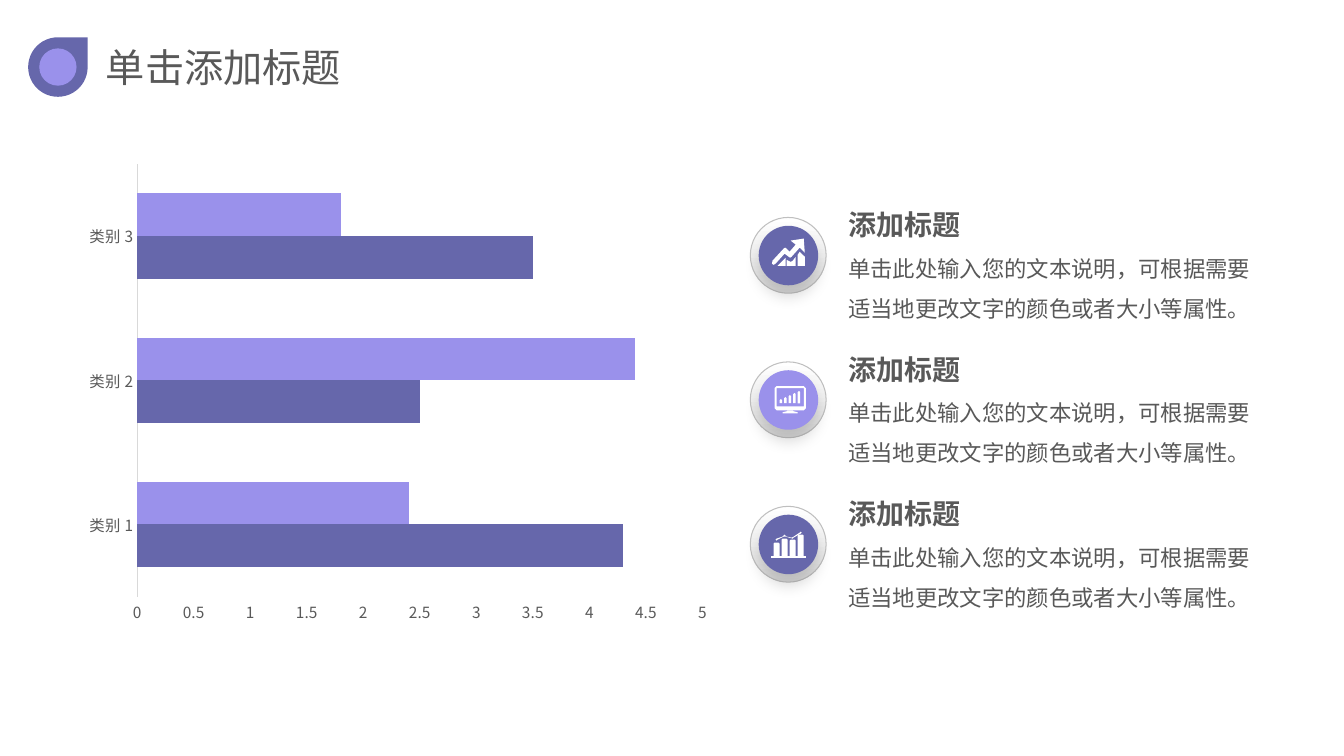
from lxml import etree
from pptx import Presentation
from pptx.chart.data import CategoryChartData
from pptx.dml.color import RGBColor
from pptx.enum import chart as ch, shapes, text
from pptx.oxml import ns
from pptx.util import Cm, Pt

FONT = "Noto Sans CJK SC"
DARK = RGBColor(0x66, 0x67, 0xAB)
LIGHT = RGBColor(0x9A, 0x91, 0xEB)
GREY = RGBColor(0x59, 0x59, 0x59)
RING = RGBColor(0xBF, 0xBF, 0xBF)
AXIS = RGBColor(0xD9, 0xD9, 0xD9)
SHADE = RGBColor(0xDC, 0xDC, 0xDC)
WHITE = RGBColor(0xFF, 0xFF, 0xFF)

# Content
TITLE = "单击添加标题"
CATEGORIES = ["类别 1", "类别 2", "类别 3"]
SERIES = [("Series 1", [4.3, 2.5, 3.5], DARK), ("Series 2", [2.4, 4.4, 1.8], LIGHT)]
HEADING = "添加标题"
BODY = "单击此处输入您的文本说明，可根据需要适当地更改文字的颜色或者大小等属性。"


def bar(x, top, w, bottom):
    """Outline of an icon bar with clipped top corners."""
    return [[(x, bottom), (x, top + 1), (x + 1, top), (x + w - 1, top),
             (x + w, top + 1), (x + w, bottom)]]


# Icons: each shape is a list of outlines, in units from the ring's corner
ICON_UNIT = 0.0254
GROWTH = [
    [[(34, 36), (25, 46), (23, 47), (21.5, 46), (22, 43), (33, 31), (34.5, 30),
      (36, 31), (39, 34), (45, 27), (40, 23), (53, 21), (54, 35), (49, 30),
      (41, 39), (39.5, 40), (38, 39)]],
    [[(49, 34), (47, 37), (47, 48), (54, 48), (54, 39)]],
    [[(42, 43), (40, 44), (36, 42), (36, 48), (45, 48), (45, 39)]],
    [[(27, 48), (35, 48), (35, 40)]],
]
MONITOR = [
    [[(26, 24), (53, 24), (55, 26), (55, 46), (53, 48), (26, 48), (24, 46), (24, 26)],
     [(26, 26), (26, 44), (53, 44), (53, 26)]],
    [[(37, 48), (42, 48), (43, 49), (47, 50), (47, 51), (32, 51), (32, 50), (36, 49)]],
] + [bar(29 + 4.5 * i, 37 - 2 * i, 2.5, 41) for i in range(5)]
COLUMNS = [
    [[(25, 33), (26, 32), (32, 30), (34, 28), (36, 30), (41, 31), (43, 30), (49, 26),
      (50, 25), (51, 26), (50, 27), (43, 31), (42, 32), (35, 30), (33, 30), (27, 33),
      (26, 34)]],
    [[(21, 49), (55, 49), (55, 51), (21, 51)]],
] + [bar(23 + 8 * i, top, 6, 49.5) for i, top in enumerate([36, 32, 33, 28])]
ITEMS = [(DARK, GROWTH), (LIGHT, MONITOR), (DARK, COLUMNS)]


def set_font(font, size, color=GREY, bold=False):
    font.name, font.size, font.bold = FONT, Pt(size), bold
    font.color.rgb = color
    etree.SubElement(font._rPr, ns.qn("a:ea"), typeface=FONT)


def add_solid(kind, left, top, size, color):
    sp = s.shapes.add_shape(kind, Cm(left), Cm(top), Cm(size), Cm(size))
    sp.shadow.inherit = False
    sp.fill.solid()
    sp.fill.fore_color.rgb = color
    sp.line.fill.background()
    return sp


def add_text(left, top, width, height, lines, spacing):
    box = s.shapes.add_textbox(Cm(left), Cm(top), Cm(width), Cm(height))
    tf = box.text_frame
    tf.word_wrap = True
    tf.auto_size = text.MSO_AUTO_SIZE.SHAPE_TO_FIT_TEXT
    tf.text = "\n".join(line for line, _, _ in lines)
    for p, (_, size, bold) in zip(tf.paragraphs, lines):
        p.line_spacing = spacing
        set_font(p.runs[0].font, size, bold=bold)


def add_shadow(sp):
    effects = sp._element.spPr.find(ns.qn("a:effectLst"))
    shadow = etree.SubElement(effects, ns.qn("a:outerShdw"), blurRad=str(Pt(11)),
                              dist=str(Pt(8)), dir="5400000", algn="t", rotWithShape="0")
    black = etree.SubElement(shadow, ns.qn("a:srgbClr"), val="000000")
    etree.SubElement(black, ns.qn("a:alpha"), val="15000")


def add_icon(icon, left, top):
    for outlines in icon:
        builder = None
        for outline in outlines:
            pts = [(Cm(left + x * ICON_UNIT), Cm(top + y * ICON_UNIT)) for x, y in outline]
            if builder is None:
                builder = s.shapes.build_freeform(*pts[0])
            else:
                builder.move_to(*pts[0])
            builder.add_line_segments(pts[1:], close=True)
        sp = builder.convert_to_shape()
        sp.shadow.inherit = False
        sp.fill.solid()
        sp.fill.fore_color.rgb = WHITE
        sp.line.fill.background()


prs = Presentation()
prs.slide_width, prs.slide_height = Cm(33.87), Cm(19.05)
s = prs.slides.add_slide(prs.slide_layouts[6])

# Title with its drop mark
add_solid(shapes.MSO_SHAPE.TEAR, 0.71, 0.94, 1.5, DARK)
add_solid(shapes.MSO_SHAPE.OVAL, 0.99, 1.22, 0.94, LIGHT)
add_text(2.42, 0.97, 7.09, 1.45, [(TITLE, 28, False)], 1.0)

# Bar chart
data = CategoryChartData()
data.categories = CATEGORIES
for name, values, _ in SERIES:
    data.add_series(name, values)
chart = s.shapes.add_chart(ch.XL_CHART_TYPE.BAR_CLUSTERED, Cm(1.93), Cm(3.89),
                           Cm(16.21), Cm(12.04), data).chart
chart.has_legend = chart.has_title = False
set_font(chart.font, 10, RGBColor(0, 0, 0))
plot = chart.plots[0]
plot.gap_width, plot.overlap, plot.vary_by_categories = 138, 0, False
for ser, (_, _, color) in zip(plot.series, SERIES):
    ser.format.fill.solid()
    ser.format.fill.fore_color.rgb = color
for axis in (chart.category_axis, chart.value_axis):
    axis.has_major_gridlines = False
    axis.major_tick_mark = axis.minor_tick_mark = ch.XL_TICK_MARK.NONE
    set_font(axis.tick_labels.font, 11)
chart.category_axis.format.line.color.rgb = AXIS
chart.category_axis.format.line.width = Pt(0.75)
values = chart.value_axis
values.format.line.fill.background()
values.minimum_scale, values.maximum_scale, values.major_unit = 0, 5, 0.5
values.tick_labels.number_format = "General"
values.tick_labels.number_format_is_linked = False

# Explained points
RING_LEFT, FIRST_TOP, PITCH = 18.91, 5.48, 3.64
for i, (color, icon) in enumerate(ITEMS):
    top = FIRST_TOP + i * PITCH
    ring = add_solid(shapes.MSO_SHAPE.OVAL, RING_LEFT, top, 1.91, WHITE)
    ring.fill.gradient()
    ring.fill.gradient_angle = 270
    for stop, shade in zip(ring.fill.gradient_stops, (WHITE, SHADE)):
        stop.color.rgb = shade
    ring.line.color.rgb = RING
    ring.line.width = Pt(0.75)
    add_shadow(add_solid(shapes.MSO_SHAPE.OVAL, RING_LEFT + 0.21, top + 0.21, 1.5, color))
    add_icon(icon, RING_LEFT, top)
    add_text(21.13, top - 0.79, 11.02, 3.48, [(HEADING, 20, True), (BODY, 16, False)], 1.5)

prs.save("out.pptx")
